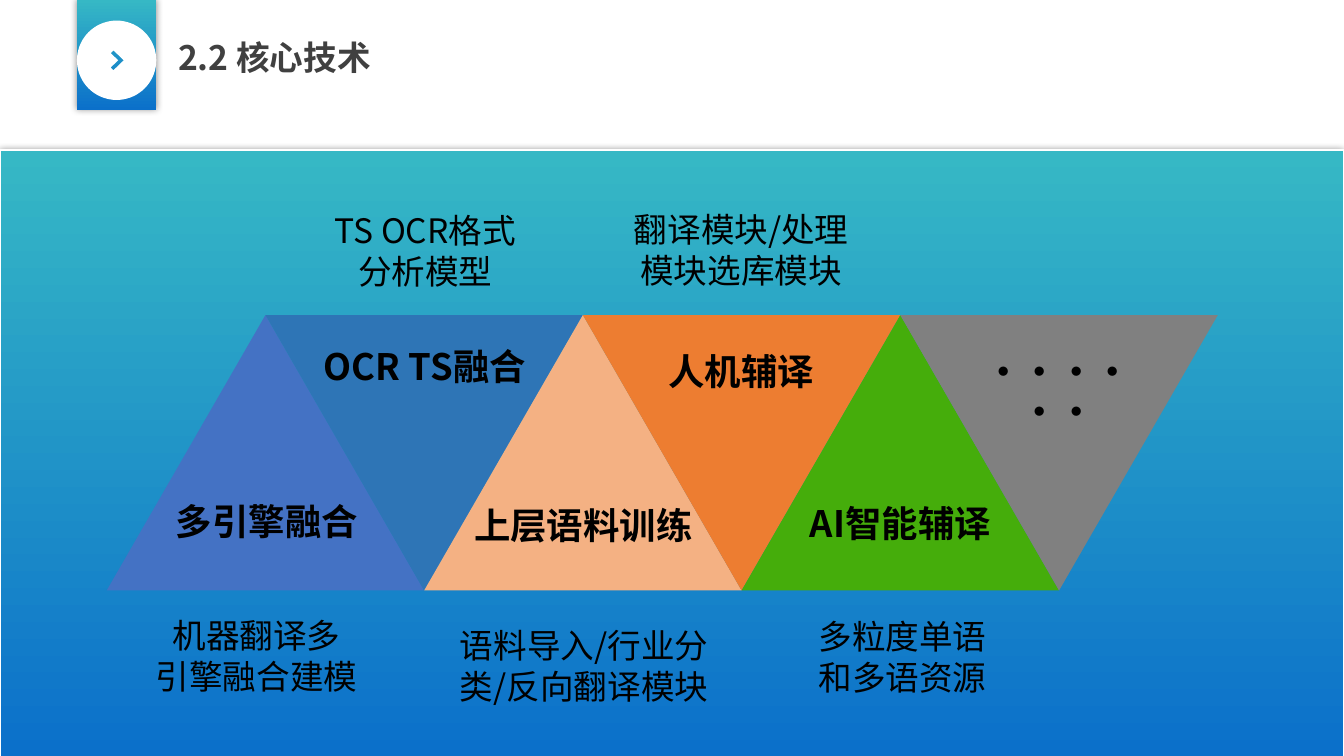
from math import cos, pi, sin

from lxml.etree import SubElement
from pptx import Presentation
from pptx.dml.color import RGBColor
from pptx.enum.shapes import MSO_SHAPE
from pptx.enum.text import MSO_ANCHOR, PP_ALIGN
from pptx.oxml.ns import qn
from pptx.util import Cm, Pt

FONT = "Noto Sans CJK SC"
TEAL = RGBColor(0x36, 0xB8, 0xC5)
BLUE = RGBColor(0x0B, 0x70, 0xCA)
WHITE = RGBColor(0xFF, 0xFF, 0xFF)
BLACK = RGBColor(0x00, 0x00, 0x00)
DARK = RGBColor(0x40, 0x40, 0x40)
INDIGO = RGBColor(0x44, 0x72, 0xC4)
NAVY = RGBColor(0x2E, 0x75, 0xB6)
PEACH = RGBColor(0xF4, 0xB1, 0x83)
ORANGE = RGBColor(0xED, 0x7D, 0x31)
GREEN = RGBColor(0x45, 0xAD, 0x0B)
GREY = RGBColor(0x80, 0x80, 0x80)

# Triangle strip, in cm
LEFT, STEP, TOP, BASE = 2.69, 4.0, 7.94, 14.88
FILLS = [INDIGO, NAVY, PEACH, ORANGE, GREEN, GREY]

# Text and its box (left, top, width, height), in cm
HEADS = [
    ("多引擎融合", (3.96, 12.7, 5.54, 1.14)),
    ("OCR TS融合", (7.72, 8.79, 5.97, 1.35)),
    ("上层语料训练", (11.63, 12.78, 6.15, 1.02)),
    ("人机辅译", (16.43, 8.92, 4.5, 1.12)),
    ("AI智能辅译", (19.33, 12.73, 6.73, 1.12)),
    ("······", (24.56, 8.92, 4.22, 1.12)),
]
NOTES = [
    ("机器翻译多\n引擎融合建模", (3.43, 15.37, 6.07, 2.31)),
    ("TS OCR格式分析模型", (8.13, 5.16, 5.18, 2.31)),
    ("语料导入/行业分类/反向翻译模块", (11.05, 15.62, 7.34, 2.31)),
    ("翻译模块/处理模块选库模块", (15.49, 5.13, 6.38, 2.31)),
    ("多粒度单语\n和多语资源", (19.33, 15.39, 6.83, 2.31)),
]


def write(frame, text, size=24, color=BLACK, bold=False, align=PP_ALIGN.CENTER,
          anchor=MSO_ANCHOR.TOP, wrap=True, line=None, before=0, pad=0.13):
    """Fill a text frame; line and before are in points, pad in cm."""
    frame.text = text
    frame.word_wrap = wrap
    frame.vertical_anchor = anchor
    frame.margin_left = frame.margin_right = Cm(0.25)
    frame.margin_top = frame.margin_bottom = Cm(pad)
    for para in frame.paragraphs:
        para.alignment = align
        para.space_before = Pt(before)
        if line:
            para.line_spacing = Pt(line)
        for run in para.runs:
            font = run.font
            font.name, font.size, font.bold = FONT, Pt(size), bold
            font.color.rgb = color
            SubElement(font._element, qn("a:ea"), typeface=FONT)


class Deck:
    """One slide and the style of its parts."""

    def __init__(self):
        self.show = Presentation()
        self.show.slide_width, self.show.slide_height = Cm(33.87), Cm(19.05)
        self.slide = self.show.slides.add_slide(self.show.slide_layouts[5])
        self.shapes = self.slide.shapes

    def title(self, text, box):
        shape = self.shapes.title
        shape.left, shape.top, shape.width, shape.height = map(Cm, box)
        write(shape.text_frame, text, color=DARK, bold=True, wrap=False,
              align=PP_ALIGN.LEFT, anchor=MSO_ANCHOR.MIDDLE)

    def panel(self, box, edge=None):
        """Add a rectangle with the teal to blue fade and a soft shadow."""
        shape = self.shapes.add_shape(MSO_SHAPE.RECTANGLE, *map(Cm, box))
        shape.fill.gradient()
        shape.fill.gradient_angle = 270
        for stop, color in zip(shape.fill.gradient_stops, (TEAL, BLUE)):
            stop.color.rgb = color
        if edge:
            shape.line.color.rgb = edge
            shape.line.width = Pt(1)
        else:
            shape.line.fill.background()
        shape.shadow.inherit = False
        effects = shape._element.spPr.find(qn("a:effectLst"))
        glow = SubElement(effects, qn("a:outerShdw"), blurRad=str(Pt(5)),
                          dist="0", algn="ctr", rotWithShape="0")
        tint = SubElement(glow, qn("a:srgbClr"), val=str(BLACK))
        SubElement(tint, qn("a:alpha"), val="40000")

    def outline(self, color, *rings):
        """Add one filled shape; rings after the first cut holes."""
        rings = [[(Cm(x), Cm(y)) for x, y in ring] for ring in rings]
        pen = self.shapes.build_freeform(*rings[0][0])
        pen.add_line_segments(rings[0][1:])
        for ring in rings[1:]:
            pen.move_to(*ring[0])
            pen.add_line_segments(ring[1:])
        shape = pen.convert_to_shape()
        shape.fill.solid()
        shape.fill.fore_color.rgb = color
        shape.line.fill.background()
        shape.shadow.inherit = False

    def badge(self, x, y, size):
        """Add a white disc with an arrow-shaped hole."""
        turns = [2 * pi * i / 72 for i in range(72)]
        disc = [(x + size * cos(t), y + size * sin(t)) for t in turns]
        arrow = [(-0.08, -0.25), (-0.15, -0.18), (0.04, 0),
                 (-0.15, 0.18), (-0.08, 0.25), (0.18, 0)]
        self.outline(WHITE, disc, [(x + dx, y + dy) for dx, dy in arrow])

    def label(self, text, box, **style):
        frame = self.shapes.add_textbox(*map(Cm, box)).text_frame
        write(frame, text, **style)


def main():
    deck = Deck()
    deck.panel((0, 3.78, 33.87, 15.29), edge=WHITE)
    deck.panel((1.93, 0, 2.01, 2.77))
    deck.badge(2.94, 1.52, 1.0)
    deck.title("2.2 核心技术", (4.24, 0.79, 5.61, 1.27))
    for i, color in enumerate(FILLS):
        x = LEFT + i * STEP
        tip, flat = (BASE, TOP) if i % 2 else (TOP, BASE)
        deck.outline(color, [(x, flat), (x + STEP, tip), (x + 2 * STEP, flat)])
    for text, box in HEADS:
        deck.label(text, box, size=26, bold=True, line=28, before=5.2, pad=0)
    for text, box in NOTES:
        deck.label(text, box, line=29)
    deck.show.save("out.pptx")


if __name__ == "__main__":
    main()
